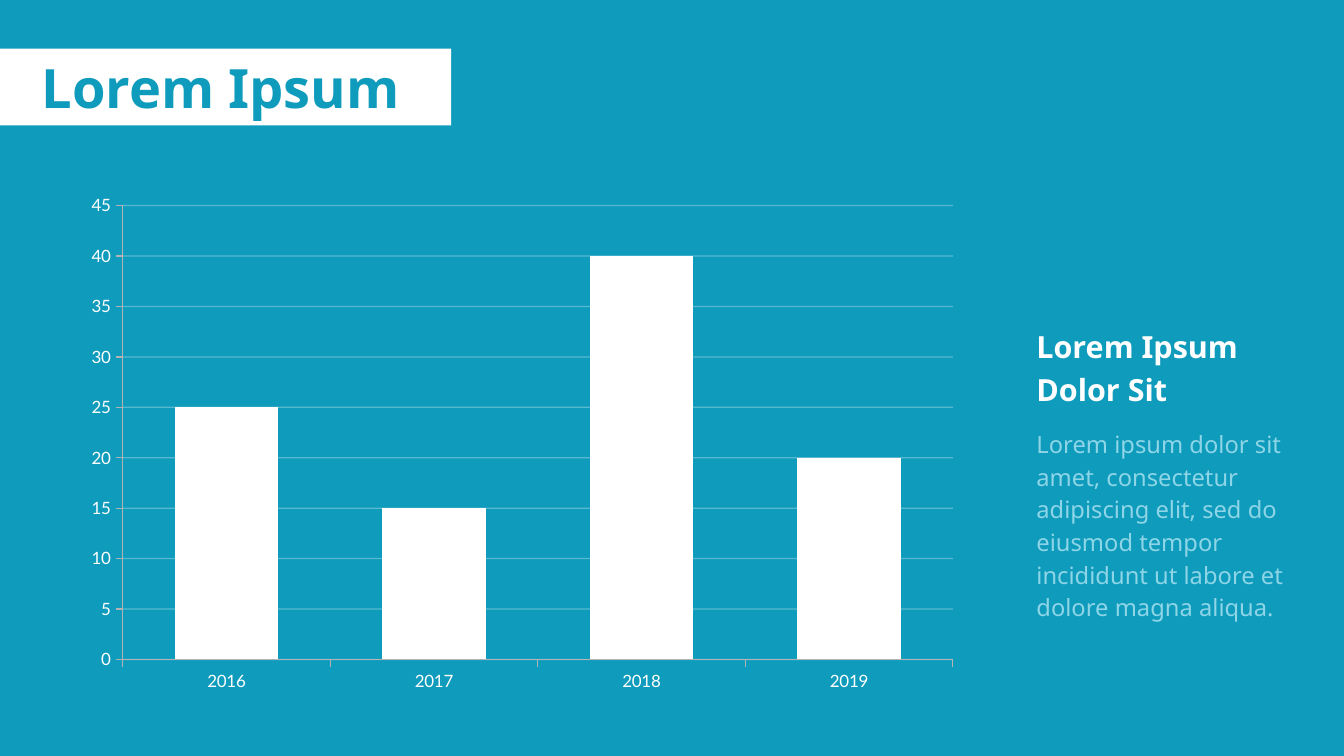
from lxml.etree import SubElement
from pptx import Presentation
from pptx.chart.data import CategoryChartData
from pptx.dml.color import RGBColor
from pptx.enum.chart import XL_CHART_TYPE as ChartType, XL_TICK_MARK as Tick
from pptx.enum.shapes import MSO_SHAPE as Shape
from pptx.enum.text import MSO_ANCHOR as Anchor, MSO_AUTO_SIZE as AutoSize, PP_ALIGN as Align
from pptx.oxml import parse_xml
from pptx.oxml.ns import nsdecls, qn
from pptx.util import Inches, Pt

TEAL = RGBColor(0x0F, 0x9B, 0xBC)
PALE_TEAL = RGBColor(0x8D, 0xD5, 0xE7)
WHITE = RGBColor(0xFF, 0xFF, 0xFF)
GREY = RGBColor(0xB3, 0xB3, 0xB3)
COLUMNS, ROWS = 110.2, 62


def apply(target, values):
    for attribute, value in values.items():
        setattr(target, attribute, value)


class SlideBuilder:
    text_font = "Noto Sans"
    chart_font = "Lato"

    def __init__(self, deck):
        self.cell_width = deck.slide_width / COLUMNS
        self.cell_height = deck.slide_height / ROWS
        self.slide = deck.slides.add_slide(deck.slide_layouts[5])
        self.shapes = self.slide.shapes
        background = self.slide.background.fill
        background.solid()
        background.fore_color.rgb = TEAL

    def place(self, column, row, width, height):
        return (round(column * self.cell_width), round(row * self.cell_height),
                round(width * self.cell_width), round(height * self.cell_height))

    def style_font(self, font, color, size, name, bold=False):
        apply(font, {"name": name, "size": Pt(size), "bold": bold})
        font.color.rgb = color

    def band(self, *cells):
        band = self.shapes.add_shape(Shape.RECTANGLE, *self.place(*cells))
        band.shadow.inherit = False
        band.fill.solid()
        band.fill.fore_color.rgb = WHITE
        band.line.fill.background()

    def title(self, wording, *cells):
        heading = self.shapes.title
        apply(heading, dict(zip(("left", "top", "width", "height"), self.place(*cells))))
        frame = heading.text_frame
        frame.text = wording
        apply(frame, {"margin_left": 0, "margin_right": 0, "margin_top": 0,
                      "margin_bottom": 0, "vertical_anchor": Anchor.MIDDLE,
                      "word_wrap": True, "auto_size": AutoSize.NONE})
        paragraph = frame.paragraphs[0]
        paragraph.alignment = Align.CENTER
        self.style_font(paragraph.runs[0].font, TEAL, 32, self.text_font, True)
        self.shapes._spTree.append(heading._element)

    def text(self, wording, cells, color, size, bold=False):
        frame = self.shapes.add_textbox(*self.place(*cells)).text_frame
        frame.word_wrap = True
        paragraph = frame.paragraphs[0]
        paragraph.text = wording
        paragraph.line_spacing = 1.15
        self.style_font(paragraph.runs[0].font, color, size, self.text_font, bold)

    def hairline(self, line, color, opacity=100):
        line.width = Pt(0)
        line.color.rgb = color
        if opacity < 100:
            tint = line._ln.find(".//" + qn("a:srgbClr"))
            SubElement(tint, qn("a:alpha")).set("val", str(opacity * 1000))

    def column_chart(self, values_by_year, cells, plot_shares):
        data = CategoryChartData()
        data.categories = list(values_by_year)
        data.add_series("Series 1", list(values_by_year.values()))
        chart = self.shapes.add_chart(
            ChartType.COLUMN_CLUSTERED, *self.place(*cells), data).chart
        apply(chart, {"has_legend": False, "has_title": False})
        self.style_font(chart.font, WHITE, 10, self.chart_font)

        plot = chart.plots[0]
        apply(plot, {"gap_width": 100, "vary_by_categories": False})
        columns = plot.series[0].format.fill
        columns.solid()
        columns.fore_color.rgb = WHITE

        for axis in (chart.category_axis, chart.value_axis):
            apply(axis, {"major_tick_mark": Tick.OUTSIDE, "minor_tick_mark": Tick.NONE})
            self.style_font(axis.tick_labels.font, WHITE, 10, self.chart_font)
            self.hairline(axis.format.line, GREY)
        apply(chart.value_axis, {"minimum_scale": 0, "maximum_scale": 45,
                                 "major_unit": 5, "has_major_gridlines": True})
        self.hairline(chart.value_axis.major_gridlines.format.line, WHITE, 30)
        self.fix_plot_area(chart, plot_shares)

    def fix_plot_area(self, chart, plot_shares):
        area = chart._chartSpace.find(".//" + qn("c:plotArea"))
        for automatic in area.findall(qn("c:layout")):
            area.remove(automatic)
        modes = '<c:layoutTarget val="inner"/><c:xMode val="edge"/><c:yMode val="edge"/>'
        shares = "".join(f'<c:{side} val="{share}"/>' for side, share in zip("xywh", plot_shares))
        area.insert(0, parse_xml(
            f'<c:layout {nsdecls("c")}><c:manualLayout>{modes}{shares}'
            '</c:manualLayout></c:layout>'))


def main():
    deck = Presentation()
    apply(deck, {"slide_width": Inches(11.02), "slide_height": Inches(6.2)})
    builder = SlideBuilder(deck)
    builder.band(0, 4, 37, 6.3)
    builder.text("Lorem Ipsum Dolor Sit", (84, 26, 21, 8.8), WHITE, 18, True)
    builder.text("Lorem ipsum dolor sit amet, consectetur adipiscing elit, sed do "
                 "eiusmod tempor incididunt ut labore et dolore magna aliqua.",
                 (84, 34.4, 22.3, 21.6), PALE_TEAL, 14)
    builder.column_chart({"2016": 25, "2017": 15, "2018": 40, "2019": 20},
                         (6.1, 15.3, 73.5, 42.4), (0.054, 0.037, 0.926, 0.878))
    builder.title("Lorem Ipsum", 0, 3.4, 36.2, 7.4)
    deck.save("out.pptx")


if __name__ == "__main__":
    main()
